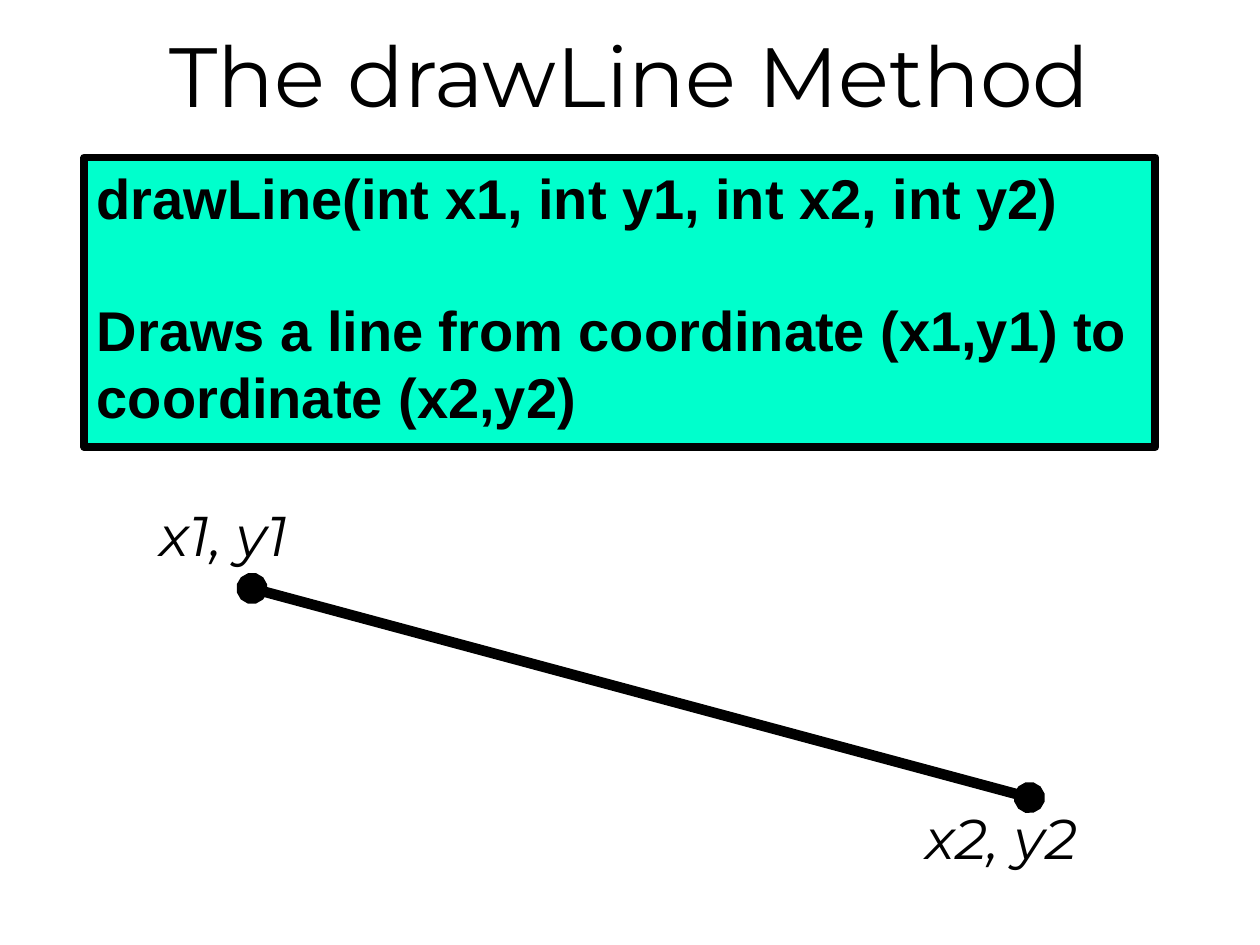
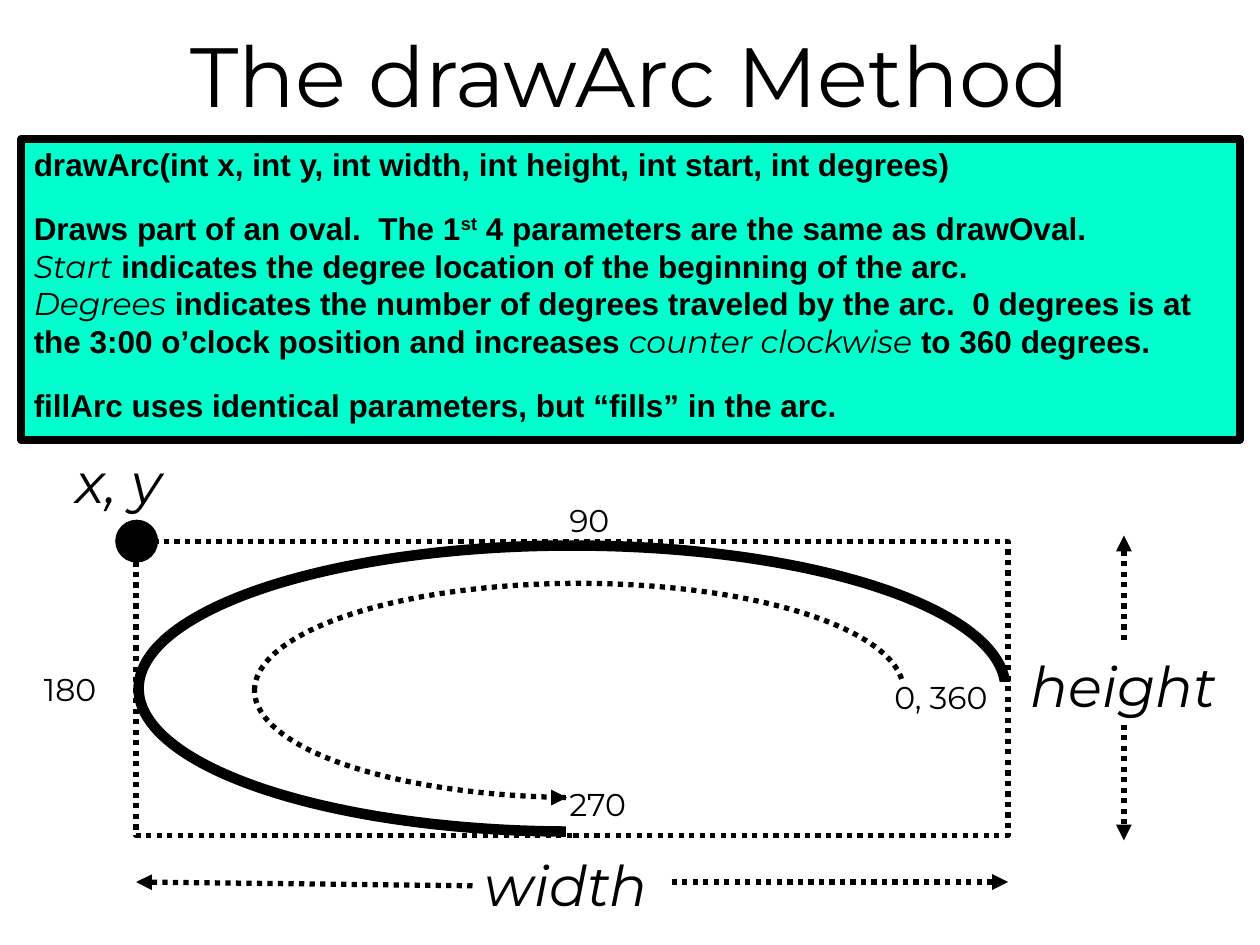
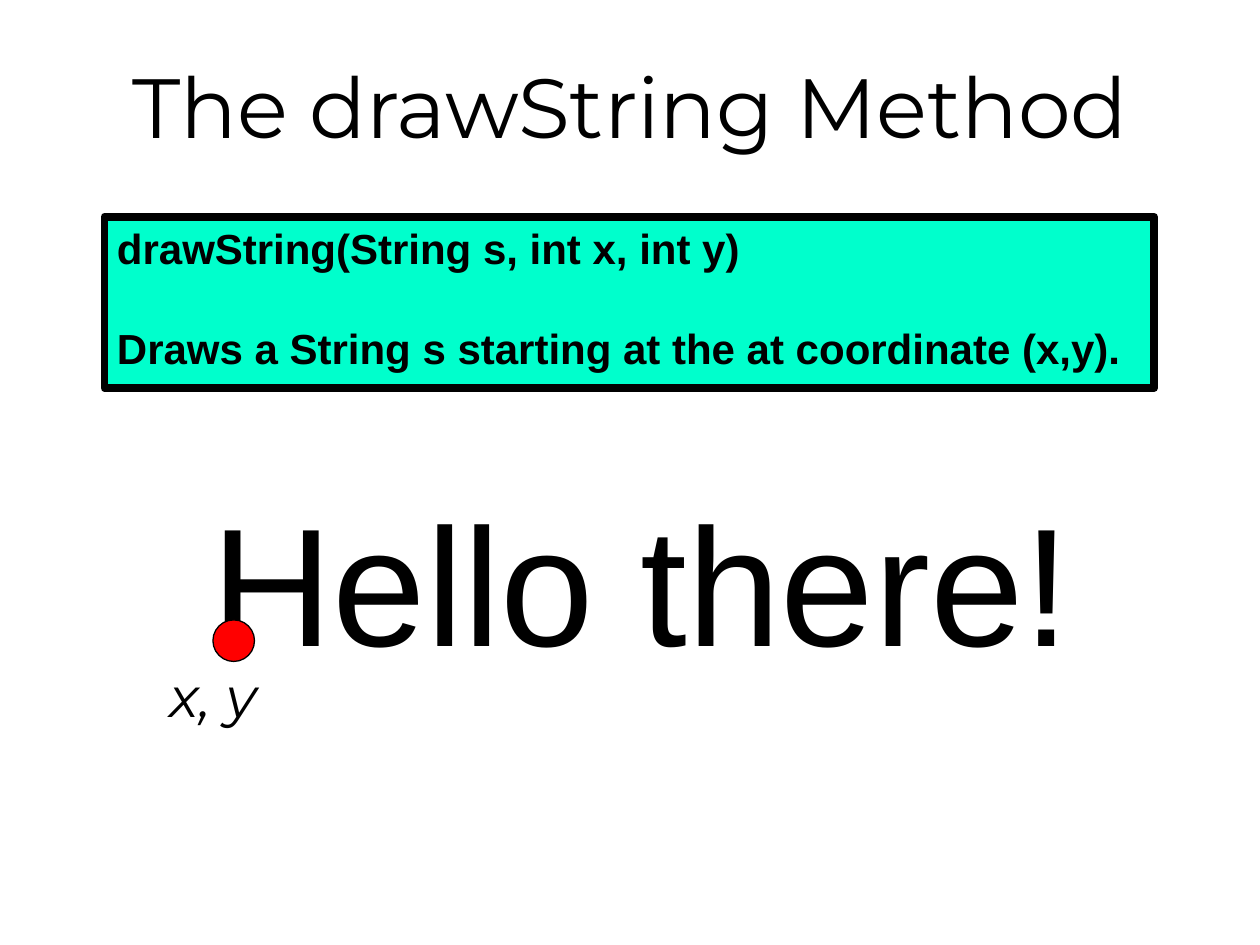
"""Build three slides on the drawLine, drawArc and drawString methods."""
from lxml import etree
from pptx import Presentation
from pptx import util as u
from pptx.dml import color
from pptx.enum import dml, shapes, text
from pptx.oxml import ns

BLACK = color.RGBColor(0x00, 0x00, 0x00)
WHITE = color.RGBColor(0xFF, 0xFF, 0xFF)
RED = color.RGBColor(0xFF, 0x00, 0x00)
MINT = color.RGBColor(0x00, 0xFF, 0xCC)
HEAD, CODE = "Montserrat", "Arial"
RECT, OVAL = shapes.MSO_SHAPE.RECTANGLE, shapes.MSO_SHAPE.OVAL
DOTS = dml.MSO_LINE.ROUND_DOT


def form(page, kind, box, fill, width, edge=BLACK, dash=None):
    item = page.shapes.add_shape(kind, *map(u.Inches, box))
    item.shadow.inherit = False
    if fill is None:
        item.fill.background()
    else:
        item.fill.solid()
        item.fill.fore_color.rgb = fill
    item.line.color.rgb = edge
    item.line.width = u.Pt(width)
    if dash:
        item.line.dash_style = dash
    return item


def style(font, name, size, bold=False, slant=False):
    font.name = name
    font.size = u.Pt(size)
    font.bold = bold
    font.italic = slant
    font.color.rgb = BLACK


deck = Presentation()
deck.slide_width, deck.slide_height = u.Inches(10), u.Inches(7.5)

# Each panel paragraph is (space before, runs); each run is (text, mark).
topics = [
    ("The drawLine Method", 1.17, (0.67, 1.25, 8.5, 2.3), 32, [
        (0, [("drawLine(int x1, int y1, int x2, int y2)", "")]),
        (37, [("Draws a line from coordinate (x1,y1) to coordinate (x2,y2)", "")]),
    ]),
    ("The drawArc Method", 1.17, (0.17, 1.1, 9.67, 2.39), 18, [
        (0, [("drawArc(int x, int y, int width, int height, int start, int degrees)", "")]),
        (15, [("Draws part of an oval.  The 1", ""), ("st", "super"),
              (" 4 parameters are the same as drawOval.", "")]),
        (0, [("Start", "slant"),
             (" indicates the degree location of the beginning of the arc.", "")]),
        (0, [("Degrees", "slant"),
             (" indicates the number of degrees traveled by the arc.  0 degrees is at "
              "the 3:00 o’clock position and increases ", ""),
             ("counter clockwise", "slant"), (" to 360 degrees.", "")]),
        (15, [("fillArc uses identical parameters, but “fills” in the arc.", "")]),
    ]),
    ("The drawString Method", 1.67, (0.83, 1.72, 8.33, 1.36), 24, [
        (0, [("drawString(String s, int x, int y)", "")]),
        (28, [("Draws a String s starting at the at coordinate (x,y).", "")]),
    ]),
]

pages = []
for name, tall, box, size, lines in topics:
    page = deck.slides.add_slide(deck.slide_layouts[5])
    pages.append(page)
    title = page.shapes.title
    title.left, title.top = 0, 0
    title.width, title.height = deck.slide_width, u.Inches(tall)
    title.text_frame.text = name
    title.text_frame.vertical_anchor = text.MSO_ANCHOR.MIDDLE
    para = title.text_frame.paragraphs[0]
    para.alignment = text.PP_ALIGN.CENTER
    style(para.font, HEAD, 48)

    frame = form(page, RECT, box, MINT, 4.5).text_frame
    frame.word_wrap = True
    frame.vertical_anchor = text.MSO_ANCHOR.TOP
    for rank, (gap, runs) in enumerate(lines):
        para = frame.add_paragraph() if rank else frame.paragraphs[0]
        para.alignment = text.PP_ALIGN.LEFT
        if gap:
            para.space_before = u.Pt(gap)
        style(para.font, CODE, size, bold=True)
        for words, mark in runs:
            run = para.add_run()
            run.text = words
            if mark == "slant":
                style(run.font, HEAD, size, slant=True)
            elif mark == "super":
                run._r.get_or_add_rPr().set("baseline", "30000")

line, arc, string = pages

form(arc, OVAL, (2.02, 4.63, 5.15, 1.7), None, 3, dash=DOTS)
form(arc, OVAL, (0.92, 4.13, 0.33, 0.33), BLACK, 0.75)
form(arc, OVAL, (1.1, 4.33, 6.88, 2.27), None, 6)
form(arc, RECT, (4.5, 5.42, 3.58, 1.25), WHITE, 0.75, edge=WHITE)
form(arc, RECT, (1.08, 4.3, 6.92, 2.33), None, 3, dash=DOTS)

for page, ends, width, dash, tips in [
    (line, (2, 4.67, 8.17, 6.33), 6, None, {"headEnd": "oval", "tailEnd": "oval"}),
    (arc, (5.33, 7, 8, 7), 3, DOTS, {"tailEnd": "triangle"}),
    (arc, (3.75, 7.03, 1.08, 7), 3, DOTS, {"tailEnd": "triangle"}),
    (arc, (8.92, 5.08, 8.92, 4.25), 3, DOTS, {"tailEnd": "triangle"}),
    (arc, (8.92, 5.75, 8.92, 6.67), 3, DOTS, {"tailEnd": "triangle"}),
    (arc, (4.42, 6.33, 4.5, 6.33), 3, None, {"tailEnd": "triangle"}),
]:
    link = page.shapes.add_connector(shapes.MSO_CONNECTOR.STRAIGHT, *map(u.Inches, ends))
    link.line.color.rgb = BLACK
    link.line.width = u.Pt(width)
    if dash:
        link.line.dash_style = dash
    for tag, tip in tips.items():
        etree.SubElement(link.line._get_or_add_ln(), ns.qn("a:" + tag), type=tip)
    etree.SubElement(link._element.spPr, ns.qn("a:effectLst"))

for page, words, box, name, size, slant in [
    (line, "x1, y1", (1.17, 3.92, 1.83, 0.63), HEAD, 32, True),
    (line, "x2, y2", (7.25, 6.33, 1.83, 0.63), HEAD, 32, True),
    (arc, "height", (8.08, 5.12, 1.83, 0.63), HEAD, 32, True),
    (arc, "x, y", (0.5, 3.5, 1.33, 0.63), HEAD, 32, True),
    (arc, "width", (3.75, 6.7, 1.83, 0.63), HEAD, 32, True),
    (arc, "0, 360", (7, 5.33, 1.17, 0.4), HEAD, 18, False),
    (arc, "90", (4.42, 3.93, 0.75, 0.4), HEAD, 18, False),
    (arc, "180", (0.25, 5.27, 0.75, 0.4), HEAD, 18, False),
    (arc, "270", (4.42, 6.18, 0.75, 0.4), HEAD, 18, False),
    (string, "Hello there!", (1.58, 3.75, 7.33, 1.7), CODE, 96, False),
    (string, "x, y", (1.25, 5.2, 1.33, 0.63), HEAD, 32, True),
]:
    frame = page.shapes.add_textbox(*map(u.Inches, box)).text_frame
    frame.word_wrap = True
    frame.text = words
    style(frame.paragraphs[0].font, name, size, slant=slant)

form(string, OVAL, (1.69, 4.92, 0.33, 0.33), RED, 0.75)

deck.save("out.pptx")
